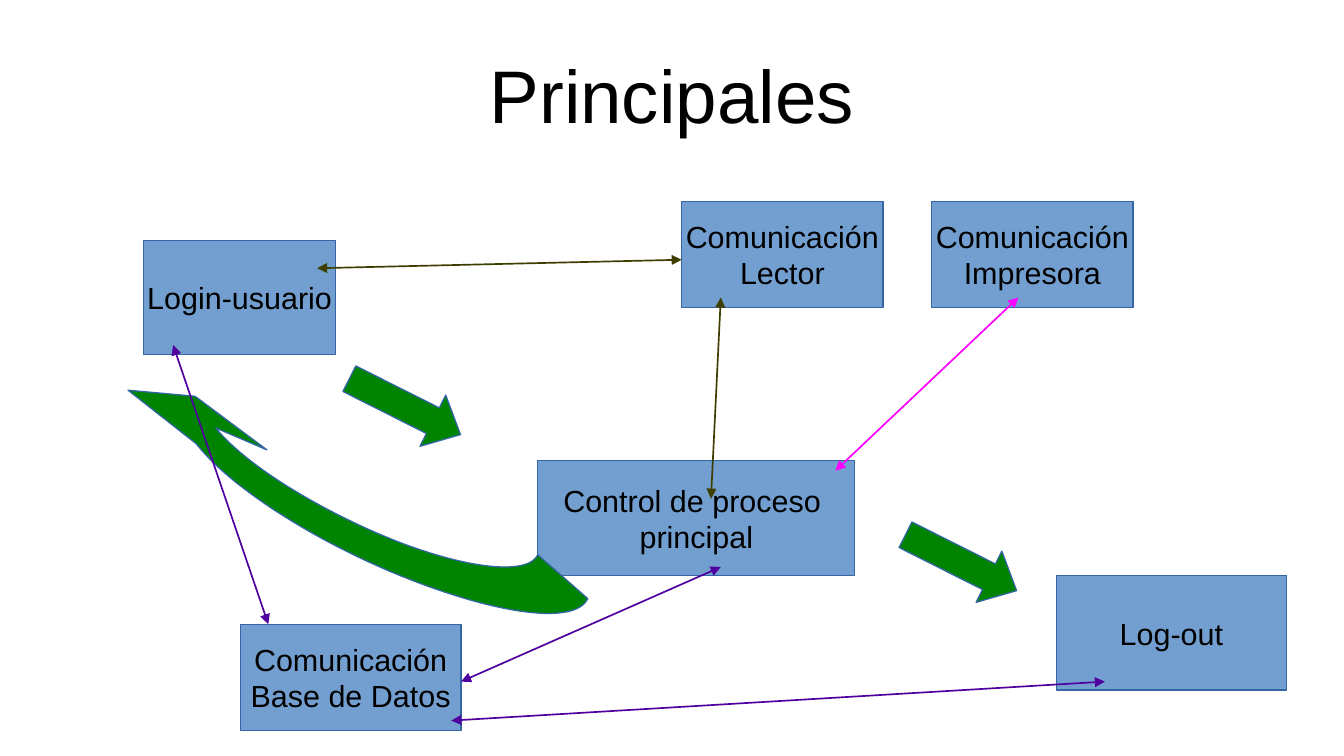
import dataclasses
import typing

import pptx
import pptx.dml.color
import pptx.enum.shapes
import pptx.enum.text
import pptx.oxml
import pptx.oxml.ns
import pptx.slide
import pptx.util

Inches = pptx.util.Inches
Kind = pptx.enum.shapes.MSO_SHAPE
Point = tuple[float, float]


@dataclasses.dataclass(frozen=True)
class Theme:
    font: str = "Arial"
    title: int = 44
    label: int = 18
    ink: str = "000000"
    box: str = "729FCF"
    edge: str = "3465A4"
    flow: str = "008400"
    data: str = "4F009E"
    reader: str = "3E3E00"
    printer: str = "FF00FF"


@dataclasses.dataclass(frozen=True)
class Box:
    text: str
    left: float
    top: float
    width: float
    height: float


@dataclasses.dataclass(frozen=True)
class Link:
    start: Point
    end: Point
    color: str


THEME = Theme()

BOXES = [
    Box("Login-usuario", 1.18, 1.97, 1.57, 0.94),
    Box("Control de proceso \nprincipal", 4.41, 3.78, 2.6, 0.94),
    Box("Log-out", 8.66, 4.72, 1.89, 0.94),
    Box("Comunicación\nLector", 5.59, 1.65, 1.65, 0.87),
    Box("Comunicación\nImpresora", 7.64, 1.65, 1.65, 0.87),
    Box("Comunicación\nBase de Datos", 1.97, 5.12, 1.81, 0.87),
]

ARROWS: list[Point] = [(2.81, 3.1), (7.37, 4.38)]

LINKS = [
    Link((1.42, 2.83), (2.2, 5.12), THEME.data),
    Link((3.78, 5.59), (5.91, 4.65), THEME.data),
    Link((3.7, 5.91), (9.06, 5.59), THEME.data),
    Link((5.59, 2.13), (2.6, 2.2), THEME.reader),
    Link((5.91, 2.44), (5.83, 4.09), THEME.reader),
    Link((8.35, 2.44), (6.85, 3.86), THEME.printer),
]

# Each step holds one point for a straight edge, three for a Bézier curve.
START: Point = (1.77, 3.51)
RETURN: list[list[Point]] = [
    [(2.01, 3.81), (2.61, 4.18), (3.23, 4.43)],
    [(3.84, 4.67), (4.33, 4.72), (4.41, 4.55)],
    [(4.82, 4.91)],
    [(4.72, 5.12), (4.13, 5.05), (3.38, 4.76)],
    [(2.63, 4.47), (1.9, 4.01), (1.61, 3.64)],
    [(1.05, 3.2)],
    [(1.6, 3.25)],
    [(2.19, 3.69)],
]


def rgb(color: str) -> pptx.dml.color.RGBColor:
    return pptx.dml.color.RGBColor.from_string(color)


def write(shape: typing.Any, text: str, *, size: int, wrap: bool,
          pad: Point = (0, 0), color: str = THEME.ink) -> None:
    """Put centred text in a shape, one paragraph to each line."""
    frame = shape.text_frame
    frame.text = text
    frame.word_wrap = wrap
    frame.auto_size = pptx.enum.text.MSO_AUTO_SIZE.NONE
    frame.vertical_anchor = pptx.enum.text.MSO_ANCHOR.MIDDLE
    frame.margin_left = frame.margin_right = Inches(pad[0])
    frame.margin_top = frame.margin_bottom = Inches(pad[1])
    for line in frame.paragraphs:
        line.alignment = pptx.enum.text.PP_ALIGN.CENTER
        for run in line.runs:
            run.font.name = THEME.font
            run.font.size = pptx.util.Pt(size)
            run.font.color.rgb = rgb(color)


def paint(shape: typing.Any, fill: str) -> None:
    shape.shadow.inherit = False
    shape.fill.solid()
    shape.fill.fore_color.rgb = rgb(fill)
    shape.line.color.rgb = rgb(THEME.edge)
    shape.line.width = pptx.util.Pt(0)


def add_title(slide: pptx.slide.Slide, text: str) -> None:
    title = slide.shapes.title
    title.left, title.top = Inches(0.55), Inches(0.25)
    title.width, title.height = Inches(9.92), Inches(1.04)
    write(title, text, size=THEME.title, wrap=True)


def add_box(slide: pptx.slide.Slide, box: Box) -> None:
    shape = slide.shapes.add_shape(
        Kind.RECTANGLE, Inches(box.left), Inches(box.top),
        Inches(box.width), Inches(box.height))
    paint(shape, THEME.box)
    write(shape, box.text, size=THEME.label, wrap=False, pad=(0.1, 0.05))


def add_arrow(slide: pptx.slide.Slide, spot: Point) -> None:
    shape = slide.shapes.add_shape(
        Kind.RIGHT_ARROW, Inches(spot[0]), Inches(spot[1]),
        Inches(1.02), Inches(0.47))
    shape.adjustments[1] = 0.54
    shape.rotation = 26.7
    paint(shape, THEME.flow)


def trace(start: Point, steps: list[list[Point]], count: int = 24) -> list[Point]:
    """Turn straight and curved steps into a list of points."""
    points = [start]
    for step in steps:
        if len(step) == 1:
            points += step
            continue
        knots = [points[-1], *step]
        for i in range(1, count + 1):
            t = i / count
            parts = ((1 - t) ** 3, 3 * t * (1 - t) ** 2, 3 * t * t * (1 - t), t ** 3)
            x, y = (sum(p * k[axis] for p, k in zip(parts, knots)) for axis in (0, 1))
            points.append((x, y))
    return points


def add_return(slide: pptx.slide.Slide) -> None:
    """Draw the bent arrow that leads back to the login."""
    first, *rest = [(Inches(x), Inches(y)) for x, y in trace(START, RETURN)]
    pen = slide.shapes.build_freeform(*first)
    pen.add_line_segments(rest, close=True)
    paint(pen.convert_to_shape(), THEME.flow)


def add_link(slide: pptx.slide.Slide, link: Link) -> None:
    """Draw a line with an arrowhead at both ends."""
    line = slide.shapes.add_connector(
        pptx.enum.shapes.MSO_CONNECTOR.STRAIGHT,
        *map(Inches, link.start + link.end))
    line.line.color.rgb = rgb(link.color)
    line.line.width = pptx.util.Pt(1)
    stroke = line.line._get_or_add_ln()
    for end in ("a:headEnd", "a:tailEnd"):
        tip = pptx.oxml.xmlchemy.OxmlElement(end)
        tip.set("type", "triangle")
        stroke.append(tip)
    line._element.spPr.append(pptx.oxml.xmlchemy.OxmlElement("a:effectLst"))


def main() -> None:
    deck = pptx.Presentation()
    deck.slide_width, deck.slide_height = Inches(11.02), Inches(6.2)
    slide = deck.slides.add_slide(deck.slide_layouts[5])
    add_title(slide, "Principales")
    for box in BOXES:
        add_box(slide, box)
    for spot in ARROWS:
        add_arrow(slide, spot)
    add_return(slide)
    for link in LINKS:
        add_link(slide, link)
    deck.save("out.pptx")


if __name__ == "__main__":
    main()
